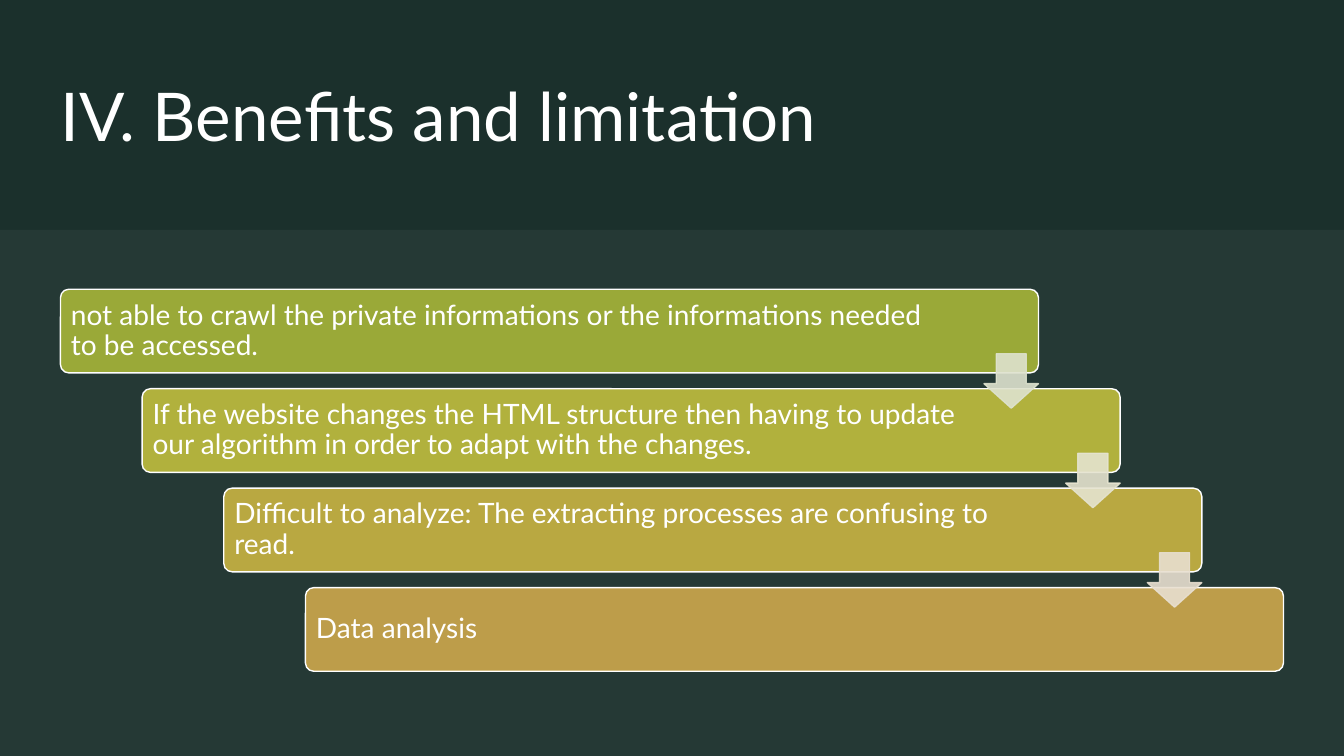
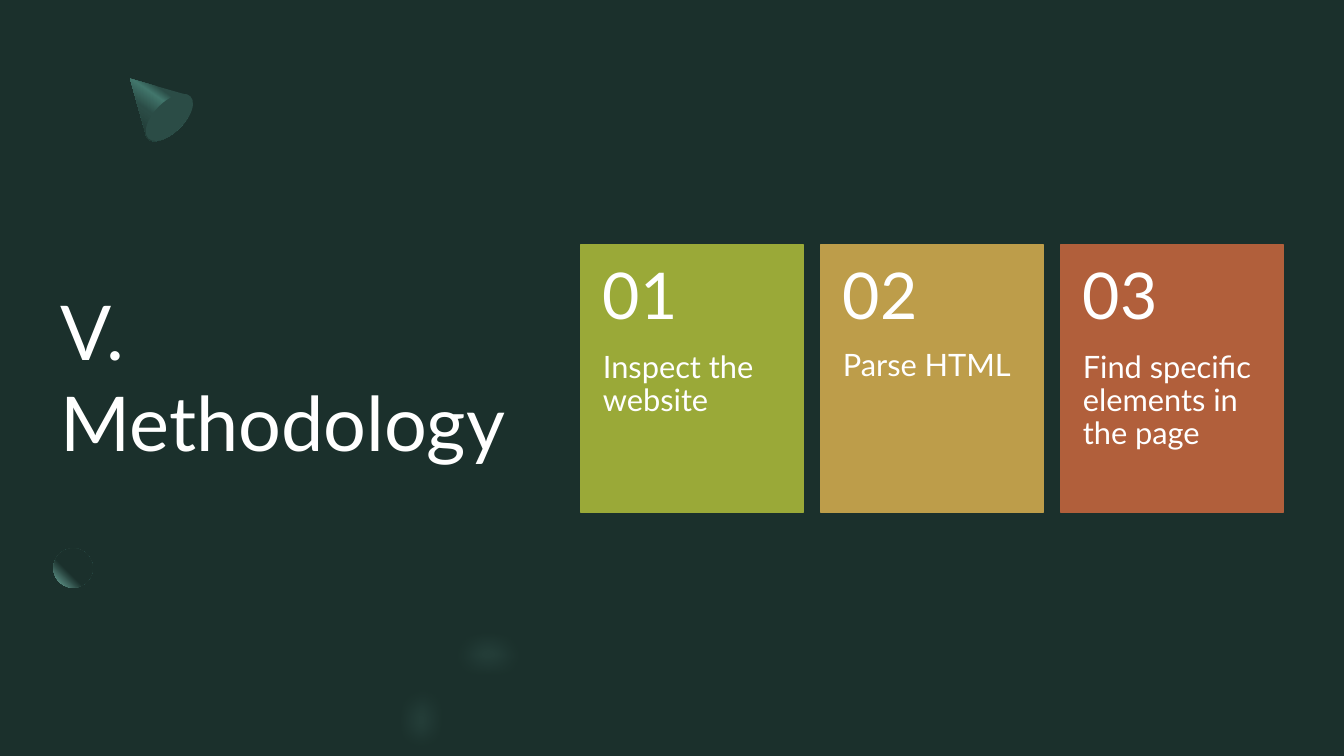
from collections import namedtuple
from dataclasses import dataclass

from lxml import etree
from pptx import Presentation
from pptx.dml.color import RGBColor
from pptx.enum.shapes import MSO_SHAPE
from pptx.enum.text import MSO_ANCHOR
from pptx.oxml import parse_xml
from pptx.oxml.ns import nsdecls, qn
from pptx.util import Inches, Pt

RECTANGLE = MSO_SHAPE.RECTANGLE
ROUNDED = MSO_SHAPE.ROUNDED_RECTANGLE
DOWN_ARROW = MSO_SHAPE.DOWN_ARROW
ELLIPSE = MSO_SHAPE.OVAL
TOP = MSO_ANCHOR.TOP
MIDDLE = MSO_ANCHOR.MIDDLE

Box = namedtuple("Box", "left top width height")
Step = namedtuple("Step", "text color arrow_color right_inset")
Card = namedtuple("Card", "number text color")


@dataclass(frozen=True)
class Theme:
    font: str = "Lato"
    background: str = "1B302C"
    text: str = "FFFFFF"
    band: str = "E3EFED"
    mint: str = "74B1A5"
    cone_dark: str = "2B4C46"
    cone_light: str = "42766C"
    green: str = "9AA938"
    olive: str = "B1B13D"
    mustard: str = "B9A841"
    gold: str = "BD9D4A"
    rust: str = "B15F3B"
    title_size: int = 48
    section_size: int = 54
    number_size: int = 46
    card_size: int = 22
    step_size: int = 20


THEME = Theme()

STEPS = [
    Step("not able to crawl the private informations or the informations "
         "needed to be accessed.", THEME.green, "DEE2CE", 1),
    Step("If the website changes the HTML structure then having to update "
         "our algorithm in order to adapt with the changes.",
         THEME.olive, "E5E3CF", 1.43),
    Step("Difficult to analyze: The extracting processes are confusing to "
         "read.", THEME.mustard, "E8DFD0", 1.43),
    Step("Data analysis", THEME.gold, None, 1.43),
]
CARDS = [
    Card("01", "Inspect the website", THEME.green),
    Card("02", "Parse HTML", THEME.gold),
    Card("03", "Find specific elements in the page", THEME.rust),
]


def place(box):
    return [Inches(length) for length in box]


def set_alpha(shape, percent):
    for color in shape.element.spPr.iter(qn("a:srgbClr")):
        etree.SubElement(color, qn("a:alpha"), val=str(percent * 1000))


def paint(shape, color, line=None, alpha=None):
    shape.shadow.inherit = False
    shape.fill.solid()
    shape.fill.fore_color.rgb = RGBColor.from_string(color)
    if line:
        shape.line.color.rgb = RGBColor.from_string(line)
        shape.line.width = Pt(1)
    else:
        shape.line.fill.background()
    if alpha:
        set_alpha(shape, alpha)


def paint_gradient(shape, stops, direction):
    paint(shape, THEME.background)
    stop_list = "".join(
        f'<a:gs pos="{position * 1000}"><a:srgbClr val="{color}"/></a:gs>'
        for position, color in stops)
    gradient = parse_xml(
        f'<a:gradFill {nsdecls("a")} rotWithShape="1">'
        f"<a:gsLst>{stop_list}</a:gsLst>{direction}</a:gradFill>")
    properties = shape.element.spPr
    properties.replace(properties.find(qn("a:solidFill")), gradient)


def write(shape, text, size, insets=(0, 0, 0, 0), anchor=MIDDLE, spacing=None):
    frame = shape.text_frame
    frame.word_wrap = True
    frame.vertical_anchor = anchor
    (frame.margin_left, frame.margin_top,
     frame.margin_right, frame.margin_bottom) = place(insets)
    frame.text = text
    paragraph = frame.paragraphs[0]
    paragraph.line_spacing = spacing
    font = paragraph.runs[0].font
    font.name = THEME.font
    font.size = Pt(size)
    font.color.rgb = RGBColor.from_string(THEME.text)


def add_block(slide, preset, box, color, line=None, alpha=None):
    shape = slide.shapes.add_shape(preset, *place(box))
    paint(shape, color, line, alpha)
    return shape


def add_text(slide, box, text, size, **options):
    write(slide.shapes.add_textbox(*place(box)), text, size, **options)


def curve(points, samples=12):
    for index in range(1, samples + 1):
        t = index / samples
        weights = ((1 - t) ** 3, 3 * t * (1 - t) ** 2,
                   3 * t ** 2 * (1 - t), t ** 3)
        yield tuple(sum(weight * point[axis]
                        for weight, point in zip(weights, points))
                    for axis in (0, 1))


def add_outline(slide, box, start, segments):
    def to_slide(point):
        return Inches(box.left + point[0]), Inches(box.top + point[1])

    vertices = [start]
    for segment in segments:
        if len(segment) == 1:
            vertices.append(segment[0])
        else:
            vertices.extend(curve([vertices[-1], *segment]))
    builder = slide.shapes.build_freeform(*to_slide(start))
    builder.add_line_segments([to_slide(point) for point in vertices[1:]])
    return builder.convert_to_shape()


def add_staircase(slide, box, steps):
    width, height = 9.7, 0.83
    arrow_size, arrow_rise = 0.54, 0.19
    step_x = (box.width - width) / (len(steps) - 1)
    step_y = (box.height - height) / (len(steps) - 1)
    corners = [(box.left + index * step_x, box.top + index * step_y)
               for index in range(len(steps))]
    for step, (left, top) in zip(steps, corners):
        bar = add_block(slide, ROUNDED, Box(left, top, width, height),
                        step.color, THEME.text)
        bar.adjustments[0] = 0.1
        write(bar, step.text, THEME.step_size,
              insets=(0.08, 0.08, step.right_inset, 0.08), spacing=0.9)
    for step, (left, top) in zip(steps[:-1], corners):
        arrow_box = Box(left + width - arrow_size, top + height - arrow_rise,
                        arrow_size, arrow_size)
        arrow = add_block(slide, DOWN_ARROW, arrow_box, step.arrow_color,
                          step.arrow_color, 90)
        arrow.adjustments[0] = 0.55
        arrow.adjustments[1] = 0.45


def add_cards(slide, box, cards):
    gap, head_share = 0.17, 0.4
    width = (box.width - gap * (len(cards) - 1)) / len(cards)
    head = box.height * head_share
    for index, card in enumerate(cards):
        left = box.left + index * (width + gap)
        add_block(slide, RECTANGLE, Box(left, box.top, width, box.height),
                  card.color, card.color)
        add_text(slide, Box(left, box.top + head, width, box.height - head),
                 card.text, THEME.card_size, insets=(0.22, 0, 0.22, 0.36),
                 anchor=TOP, spacing=0.9)
        add_text(slide, Box(left, box.top, width, head), card.number,
                 THEME.number_size, insets=(0.22, 0.18, 0.22, 0.18),
                 spacing=0.9)


def add_cone(slide, box):
    body = add_outline(slide, box, (0, 0), [
        [(0.56, 0.16)],
        [(0.57, 0.16), (0.58, 0.17), (0.59, 0.18)],
        [(0.65, 0.24), (0.6, 0.38), (0.49, 0.49)],
        [(0.37, 0.61), (0.23, 0.65), (0.18, 0.6)],
        [(0.17, 0.59), (0.16, 0.58), (0.16, 0.57)],
        [(0, 0)],
    ])
    paint_gradient(body, [(30, THEME.cone_dark), (40, THEME.cone_light),
                          (60, THEME.cone_dark), (100, THEME.background)],
                   '<a:lin ang="7500000" scaled="0"/>')
    base = Box(box.left + 0.24, box.top + 0.09, 0.3, 0.59)
    add_block(slide, ELLIPSE, base, THEME.cone_dark).rotation = 45


def add_ball(slide, box):
    ball = slide.shapes.add_shape(ELLIPSE, *place(box))
    paint_gradient(ball, [(60, THEME.background), (100, THEME.mint)],
                   '<a:path path="circle">'
                   '<a:fillToRect l="100000" b="100000"/></a:path>')


def add_glow(slide, box):
    arc = add_outline(slide, box, (0.94, 0), [
        [(1.25, -0.02), (1.57, 0.11), (1.82, 0.36)],
        [(1.47, 0.72)],
        [(1.24, 0.49), (0.9, 0.47), (0.7, 0.67)],
        [(0.56, 0.82), (0.53, 1.05), (0.62, 1.25)],
        [(0.64, 1.29)],
        [(0.08, 1.29)],
        [(0.06, 1.22)],
        [(-0.02, 0.87), (0.05, 0.51), (0.3, 0.27)],
        [(0.47, 0.09), (0.7, 0), (0.94, 0)],
    ])
    paint(arc, THEME.mint, alpha=40)
    effects = arc.element.spPr.find(qn("a:effectLst"))
    etree.SubElement(effects, qn("a:softEdge"), rad=str(Inches(0.22)))


def add_slide(presentation, title, title_box, title_size):
    slide = presentation.slides.add_slide(presentation.slide_layouts[6])
    fill = slide.background.fill
    fill.solid()
    fill.fore_color.rgb = RGBColor.from_string(THEME.background)
    add_text(slide, title_box, title, title_size)
    return slide


def add_limitations(presentation):
    slide = add_slide(presentation, "IV. Benefits and limitation",
                      Box(0.6, 0.6, 7.99, 1.08), THEME.title_size)
    add_block(slide, RECTANGLE, Box(0, 2.28, 13.33, 5.22), THEME.band, alpha=5)
    add_staircase(slide, Box(0.6, 2.87, 12.13, 3.79), STEPS)


def add_methodology(presentation):
    slide = add_slide(presentation, "V. Methodology",
                      Box(0.6, 1.66, 4.96, 4.13), THEME.section_size)
    add_cone(slide, Box(1.29, 0.78, 0.62, 0.62))
    add_ball(slide, Box(0.53, 5.44, 0.39, 0.39))
    add_glow(slide, Box(3.86, 6.21, 1.82, 1.29))
    add_cards(slide, Box(5.76, 2.43, 6.97, 2.65), CARDS)


presentation = Presentation()
presentation.slide_width = Inches(13.33)
presentation.slide_height = Inches(7.5)
add_limitations(presentation)
add_methodology(presentation)
presentation.save("out.pptx")
